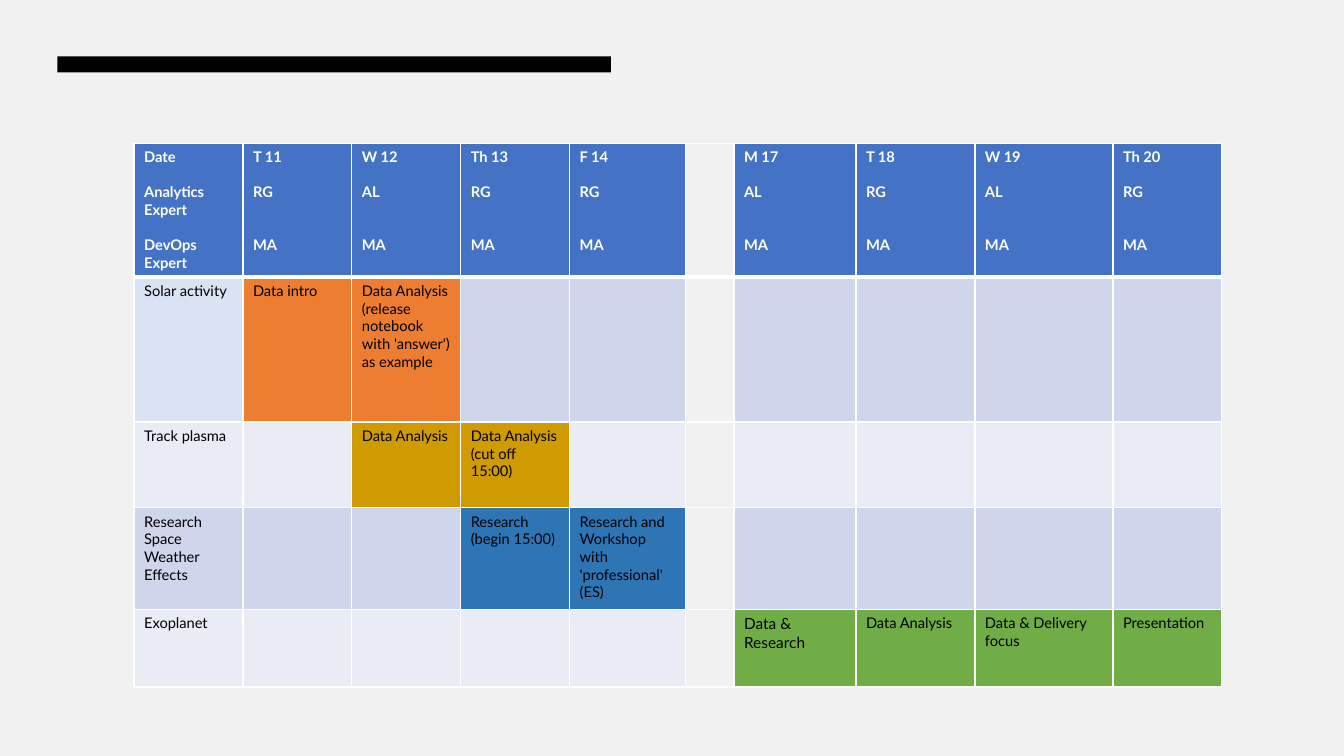
from dataclasses import dataclass

from lxml import etree
from pptx import Presentation
from pptx.dml.color import RGBColor
from pptx.enum.shapes import MSO_SHAPE
from pptx.oxml.ns import qn
from pptx.util import Inches, Pt


@dataclass(frozen=True)
class Theme:
    font: str = "Lato"
    size: float = 10.5
    large: float = 11
    line: float = 12.6
    thin: float = 1
    thick: float = 3
    page: str = "F2F1F1"
    black: str = "000000"
    white: str = "FFFFFF"
    header: str = "4472C4"
    pale: str = "DAE3F3"
    dark_band: str = "CFD5EA"
    light_band: str = "E9EBF5"
    solar: str = "ED7D31"
    plasma: str = "CF9B00"
    weather: str = "2E75B6"
    exoplanet: str = "70AD47"


THEME = Theme()
GAP_COLUMN = 5
COLUMN_WIDTHS = [1.08, 1.08, 1.08, 1.08, 1.15, 0.48, 1.21, 1.18, 1.37, 1.08]
ROW_HEIGHTS = [1.32, 1.44, 0.85, 1.01, 0.77]
ROLES = ["Date", "Analytics Expert", "DevOps Expert"]
DAYS = {
    1: ("T 11", "RG"), 2: ("W 12", "AL"), 3: ("Th 13", "RG"), 4: ("F 14", "RG"),
    6: ("M 17", "AL"), 7: ("T 18", "RG"), 8: ("W 19", "AL"), 9: ("Th 20", "RG"),
}
DEVOPS_EXPERT = "MA"
TRACKS = [
    (["Solar activity"], THEME.pale, THEME.solar, {
        1: ["Data intro"],
        2: ["Data Analysis", "(release notebook with 'answer') as example"],
    }),
    (["Track plasma"], THEME.light_band, THEME.plasma, {
        2: ["Data Analysis"],
        3: ["Data Analysis (cut off 15:00)"],
    }),
    (["Research Space", "Weather Effects"], THEME.dark_band, THEME.weather, {
        3: ["Research (begin 15:00)"],
        4: ["Research and Workshop with 'professional' (ES)"],
    }),
    (["Exoplanet"], THEME.light_band, THEME.exoplanet, {
        6: ["Data & Research"],
        7: ["Data Analysis"],
        8: ["Data & Delivery focus"],
        9: ["Presentation"],
    }),
]
LARGE_CELL = (4, 6)


def paint(fill, color):
    fill.solid()
    fill.fore_color.rgb = RGBColor.from_string(color)


def add_borders(cell, row):
    properties = cell._tc.get_or_add_tcPr()
    for side in "LRTB":
        thick = (row, side) in [(0, "B"), (1, "T")]
        width = Pt(THEME.thick if thick else THEME.thin)
        line = etree.SubElement(properties, qn(f"a:ln{side}"), w=str(width))
        solid = etree.SubElement(line, qn("a:solidFill"))
        etree.SubElement(solid, qn("a:srgbClr"), val=THEME.white)


def write(cell, lines, color, size=THEME.size, bold=False, gaps=()):
    cell.text_frame.text = "\n".join(lines)
    for index, para in enumerate(cell.text_frame.paragraphs):
        if gaps and index:
            para.space_before = Pt(gaps[index] * THEME.line)
        for span in para.runs:
            span.font.name = THEME.font
            span.font.size = Pt(size)
            span.font.bold = bold
            span.font.color.rgb = RGBColor.from_string(color)


def fill_header(cell, column):
    paint(cell.fill, THEME.header)
    if column == 0:
        lines, gaps = ROLES, (0, 1, 1)
    else:
        lines, gaps = [*DAYS[column], DEVOPS_EXPERT], (0, 1, 2)
    write(cell, lines, THEME.white, bold=True, gaps=gaps)


def fill_track(cell, row, column):
    label, label_color, task_color, tasks = TRACKS[row - 1]
    band = THEME.dark_band if row % 2 else THEME.light_band
    if column == 0:
        lines, color = label, label_color
    elif column in tasks:
        lines, color = tasks[column], task_color
    else:
        lines, color = [], band
    paint(cell.fill, color)
    size = THEME.large if (row, column) == LARGE_CELL else THEME.size
    write(cell, lines, THEME.black, size)


def add_schedule(page):
    frame = page.shapes.add_table(
        len(ROW_HEIGHTS), len(COLUMN_WIDTHS), Inches(1.33), Inches(1.42),
        Inches(sum(COLUMN_WIDTHS)), Inches(sum(ROW_HEIGHTS)))
    table = frame.table
    table.first_row = False
    table.horz_banding = False
    for column, width in zip(table.columns, COLUMN_WIDTHS):
        column.width = Inches(width)
    for row, height in zip(table.rows, ROW_HEIGHTS):
        row.height = Inches(height)
    for row in range(len(ROW_HEIGHTS)):
        for column in range(len(COLUMN_WIDTHS)):
            cell = table.cell(row, column)
            add_borders(cell, row)
            if column == GAP_COLUMN:
                cell.fill.background()
            elif row == 0:
                fill_header(cell, column)
            else:
                fill_track(cell, row, column)


def main():
    deck = Presentation()
    deck.slide_width, deck.slide_height = Inches(13.33), Inches(7.5)
    page = deck.slides.add_slide(deck.slide_layouts[6])
    paint(page.background.fill, THEME.page)
    bar = page.shapes.add_shape(
        MSO_SHAPE.RECTANGLE, Inches(0.57), Inches(0.56), Inches(5.49), Inches(0.16))
    bar.shadow.inherit = False
    paint(bar.fill, THEME.black)
    bar.line.fill.background()
    add_schedule(page)
    deck.save("out.pptx")


if __name__ == "__main__":
    main()
